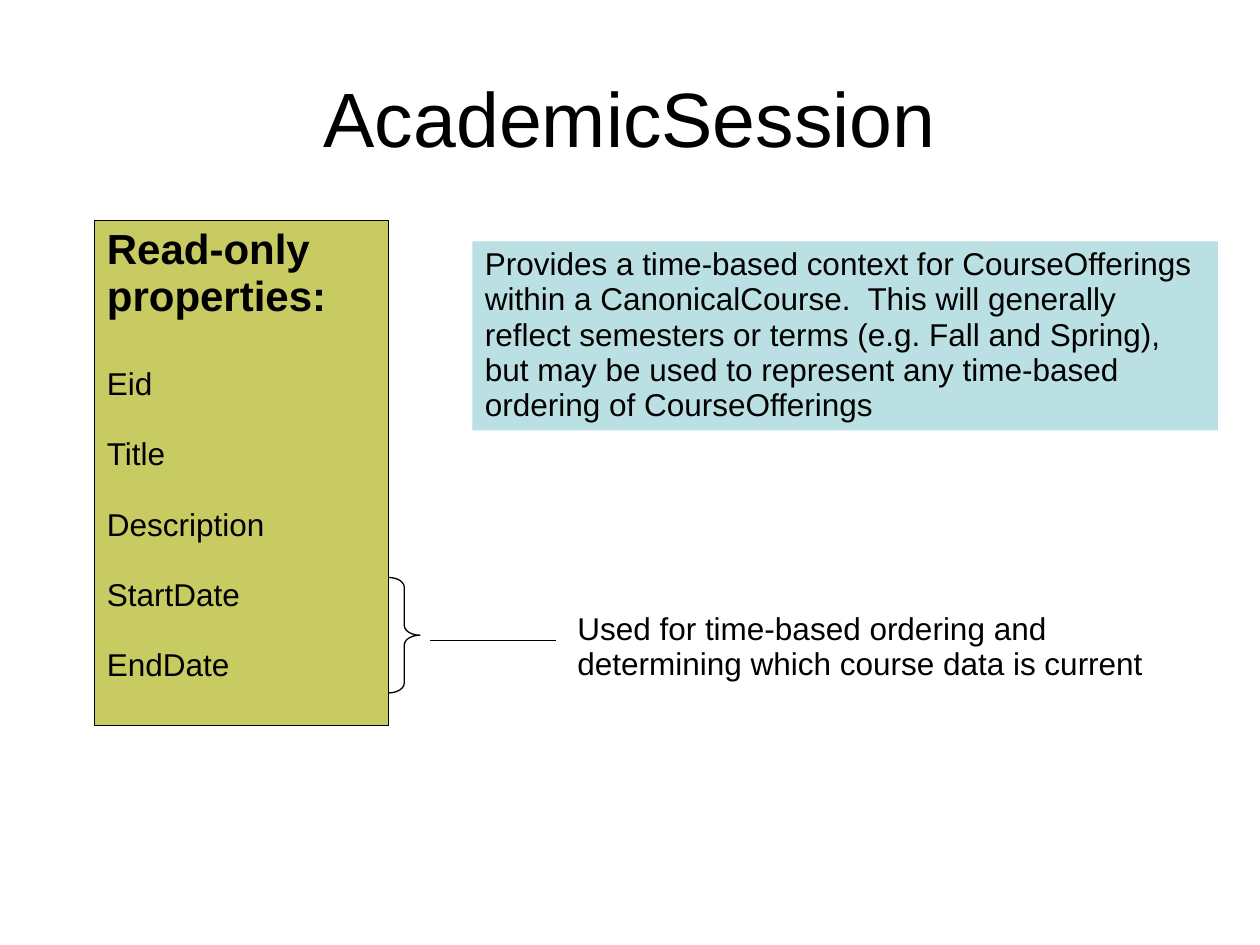
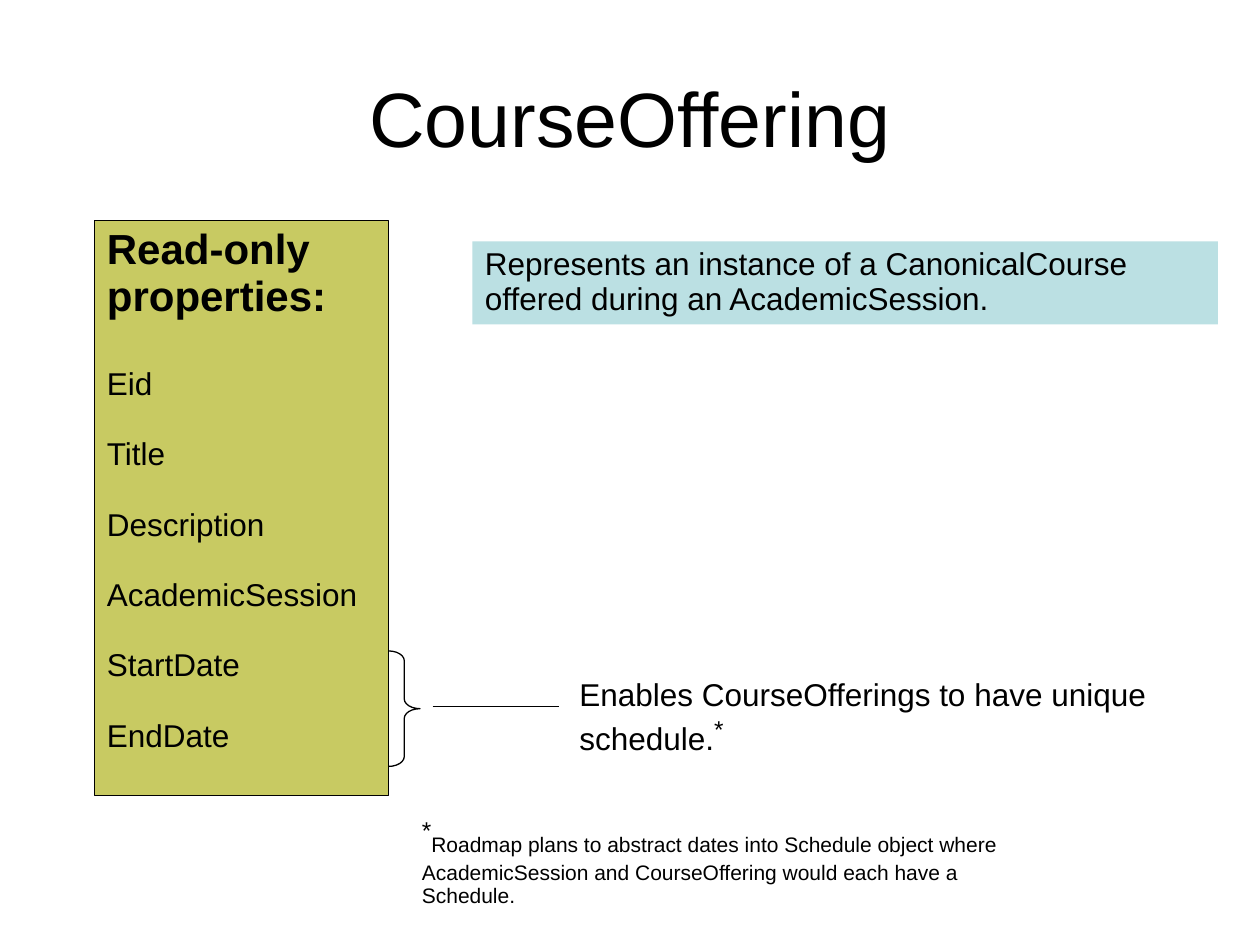
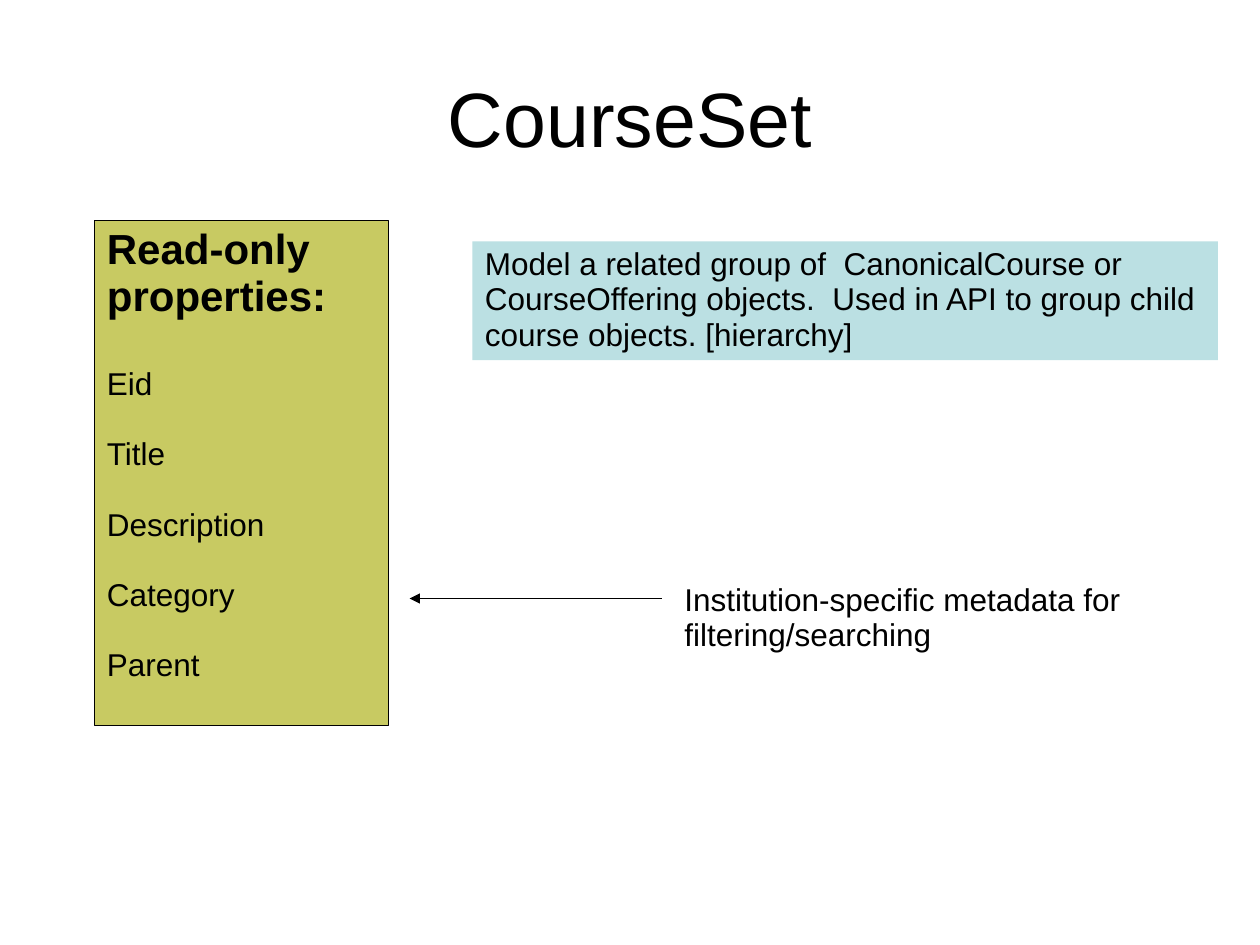
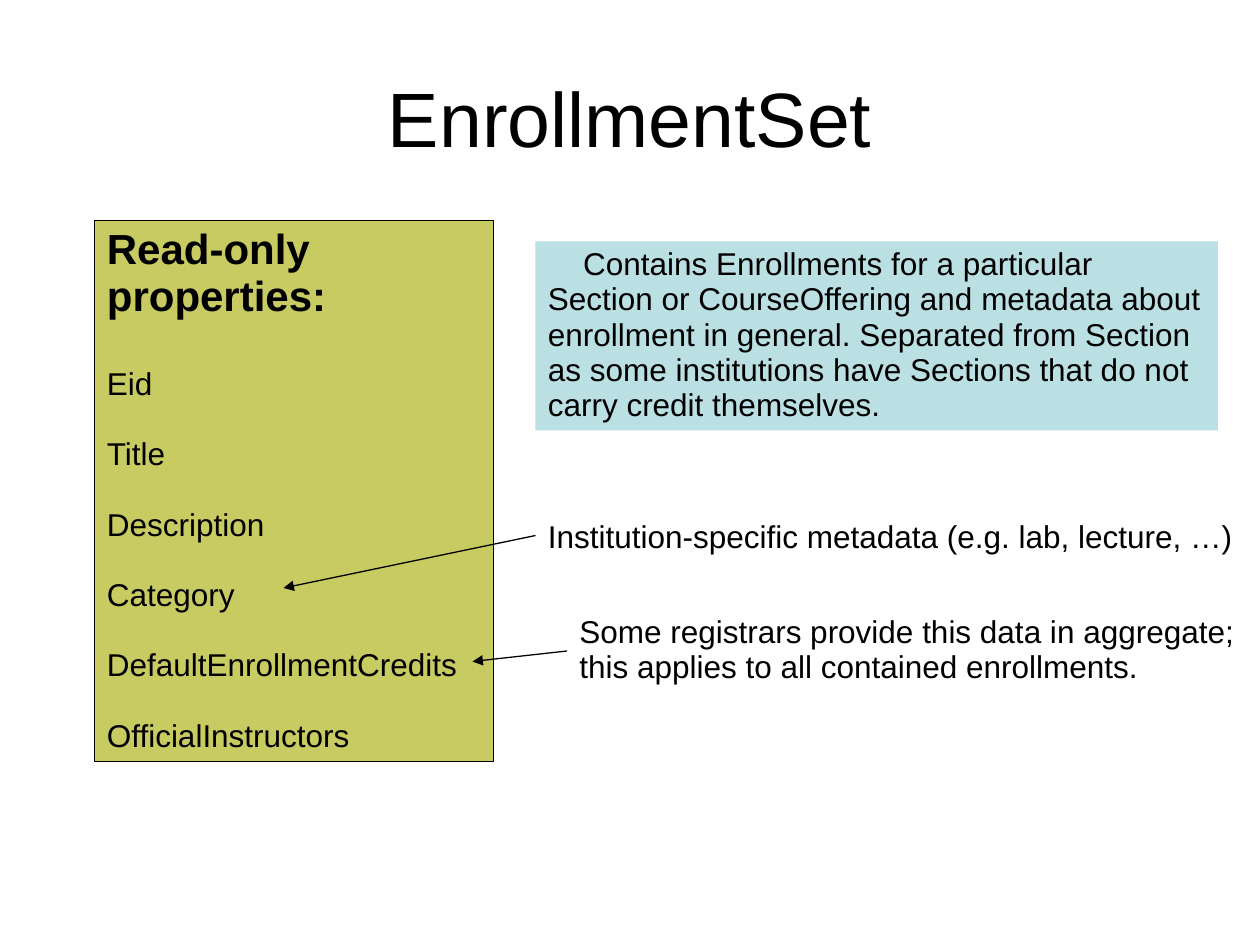
from lxml import etree
from pptx import Presentation
from pptx import util as u
from pptx.dml.color import RGBColor
from pptx.enum import shapes, text
from pptx.oxml import ns

BLACK = RGBColor(0x00, 0x00, 0x00)
OLIVE = RGBColor(0xC8, 0xCA, 0x62)
AQUA = RGBColor(0xBB, 0xE0, 0xE3)
FONT = "Arial"
WIDTH, HEIGHT = u.Inches(10), u.Inches(7.5)
COLS, ROWS = 120, 90
BODY, HEAD = 18, 24


def col(n):
    return round(WIDTH * n / COLS)


def row(n):
    return round(HEIGHT * n / ROWS)


def place(box):
    x, y, w, h = box
    return col(x), row(y), col(w), row(h)


def write(p, content, size=BODY, bold=False, baseline=0, spacing=0.93,
          before=0, align=text.PP_ALIGN.LEFT):
    p.alignment = align
    p.line_spacing = spacing
    p.space_before = u.Pt(before)
    r = p.add_run()
    r.text = content
    r.font.name = FONT
    r.font.size = u.Pt(size)
    r.font.bold = bold
    r.font.color.rgb = BLACK
    if baseline:
        r.font._element.set("baseline", str(baseline * 1000))


def outline(sp):
    sp.line.color.rgb = BLACK
    sp.line.width = u.Pt(0.75)


def filled_box(slide, box, color):
    sp = slide.shapes.add_shape(shapes.MSO_SHAPE.RECTANGLE, *place(box))
    sp.shadow.inherit = False
    sp.fill.solid()
    sp.fill.fore_color.rgb = color
    sp.line.fill.background()
    sp.text_frame.word_wrap = True
    sp.text_frame.vertical_anchor = text.MSO_ANCHOR.TOP
    return sp


def title_slide(prs, title):
    slide = prs.slides.add_slide(prs.slide_layouts[5])
    sp = slide.shapes.title
    sp.left, sp.top, sp.width, sp.height = place((6, 3.6, 108, 15))
    sp.text_frame.vertical_anchor = text.MSO_ANCHOR.MIDDLE
    write(sp.text_frame.paragraphs[0], title, size=44, spacing=1.0,
          align=text.PP_ALIGN.CENTER)
    return slide


def property_panel(slide, names, width=28, height=48.1):
    sp = filled_box(slide, (9, 21, width, height), OLIVE)
    outline(sp)
    tf = sp.text_frame
    write(tf.paragraphs[0], "Read-only properties:", size=HEAD, bold=True)
    for i, name in enumerate(names):
        write(tf.add_paragraph(), name, before=20.1 if i else 26.8)


def summary(slide, content, left=45, height=18, indent=0):
    sp = filled_box(slide, (left, 23, 116 - left, height), AQUA)
    p = sp.text_frame.paragraphs[0]
    if indent:
        p._p.get_or_add_pPr().set("indent", str(u.Inches(indent)))
    write(p, content)


def note(slide, box, *runs):
    sp = slide.shapes.add_textbox(*place(box))
    sp.text_frame.word_wrap = True
    for content, style in runs:
        write(sp.text_frame.paragraphs[0], content, **style)


def leader(slide, start, end, arrow=False):
    sp = slide.shapes.add_connector(
        shapes.MSO_CONNECTOR.STRAIGHT,
        col(start[0]), row(start[1]), col(end[0]), row(end[1]))
    outline(sp)
    if arrow:
        ln = sp.line._get_or_add_ln()
        etree.SubElement(ln, ns.qn("a:tailEnd"), type="triangle")
    etree.SubElement(sp._element.spPr, ns.qn("a:effectLst"))


def braced_note(slide, brace_top, box, *runs):
    sp = slide.shapes.add_shape(shapes.MSO_SHAPE.RIGHT_BRACE,
                                *place((37, brace_top, 3, 11)))
    sp.shadow.inherit = False
    sp.fill.background()
    sp.adjustments[0] = 0.31
    outline(sp)
    x, y = box[0] - 12.8, box[1] + 3.3
    leader(slide, (x, y), (x + 12, y))
    note(slide, box, *runs)


def academic_session(prs):
    slide = title_slide(prs, "AcademicSession")
    property_panel(slide, ["Eid", "Title", "Description", "StartDate", "EndDate"])
    summary(slide, "Provides a time-based context for CourseOfferings within a "
            "CanonicalCourse.  This will generally reflect semesters or terms "
            "(e.g. Fall and Spring), but may be used to represent any "
            "time-based ordering of CourseOfferings")
    braced_note(slide, 55, (53.8, 57.7, 59.2, 7.9),
                ("Used for time-based ordering and determining which course "
                 "data is current", {}))


def course_offering(prs):
    star = ("*", {"size": HEAD, "baseline": 30})
    slide = title_slide(prs, "CourseOffering")
    property_panel(slide, ["Eid", "Title", "Description", "AcademicSession",
                           "StartDate", "EndDate"], height=54.8)
    summary(slide, "Represents an instance of a CanonicalCourse offered during "
            "an AcademicSession.", height=7.9)
    braced_note(slide, 62, (54, 64, 59.2, 9),
                ("Enables CourseOfferings to have unique schedule.", {}), star)
    note(slide, (39, 77, 59.2, 10.2), star,
         ("Roadmap plans to abstract dates into Schedule object where "
          "AcademicSession and CourseOffering would each have a Schedule.",
          {"size": 12}))


def course_set(prs):
    slide = title_slide(prs, "CourseSet")
    property_panel(slide, ["Eid", "Title", "Description", "Category", "Parent"])
    summary(slide, "Model a related group of  CanonicalCourse or CourseOffering "
            "objects.  Used in API to group child course objects. [hierarchy]",
            height=11.3)
    note(slide, (64, 55, 46, 7.9),
         ("Institution-specific metadata for filtering/searching", {}))
    leader(slide, (63, 57), (39, 57), arrow=True)


def enrollment_set(prs):
    slide = title_slide(prs, "EnrollmentSet")
    property_panel(slide, ["Eid", "Title", "Description", "Category",
                           "DefaultEnrollmentCredits", "OfficialInstructors"],
                   width=38, height=51.5)
    summary(slide, "Contains Enrollments for a particular Section or "
            "CourseOffering and metadata about enrollment in general. Separated "
            "from Section as some institutions have Sections that do not carry "
            "credit themselves.", left=51, indent=0.28)
    note(slide, (54, 58, 66, 7.9),
         ("Some registrars provide this data in aggregate; this applies to all "
          "contained enrollments.", {}))
    note(slide, (51, 49, 69, 4.5),
         ("Institution-specific metadata (e.g. lab, lecture, …)", {}))
    leader(slide, (51, 51), (27, 56), arrow=True)
    leader(slide, (54, 62), (45, 63), arrow=True)


def main():
    prs = Presentation()
    prs.slide_width, prs.slide_height = WIDTH, HEIGHT
    for build in (academic_session, course_offering, course_set, enrollment_set):
        build(prs)
    prs.save("out.pptx")


if __name__ == "__main__":
    main()
